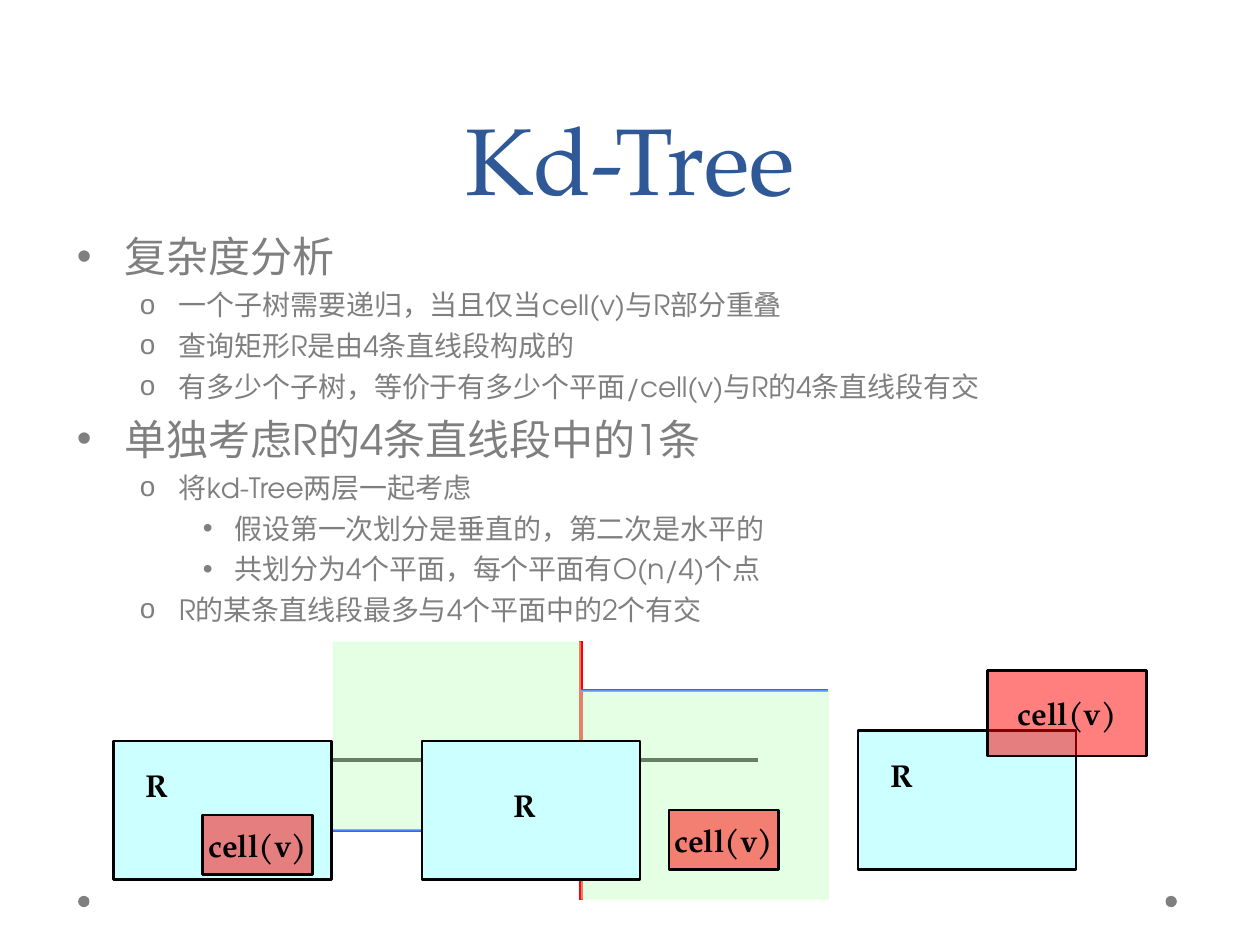
from lxml.etree import SubElement
from pptx import Presentation
from pptx.enum.shapes import MSO_CONNECTOR as Connector, MSO_SHAPE as Shape
from pptx.enum.text import MSO_ANCHOR as Anchor, MSO_AUTO_SIZE as AutoSize, PP_ALIGN as Align
from pptx.dml.color import RGBColor
from pptx.oxml.ns import qn
from pptx.util import Inches, Pt

SERIF, SANS = "TeX Gyre Pagella", "TeX Gyre Adventor"
GRAY, BLACK = "7F7F7F", "000000"


def paint(fill, color, opacity=100):
    """Give a shape, line or font fill a solid colour, with opacity in percent."""
    fill.solid()
    fill.fore_color.rgb = RGBColor.from_string(color)
    if opacity < 100:
        color_element = fill._xPr.find(qn("a:solidFill"))[0]
        SubElement(color_element, qn("a:alpha"), val=str(opacity * 1000))


def add_box(box, color, opacity=100, outlined=True, preset=Shape.RECTANGLE):
    """Add a filled shape at box (left, top, width, height in inches)."""
    shape = slide.shapes.add_shape(preset, *map(Inches, box))
    shape.shadow.inherit = False
    paint(shape.fill, color, opacity)
    if outlined:
        paint(shape.line.fill, BLACK)
        shape.line.width = Pt(1.5)
    else:
        shape.line.fill.background()
    return shape


presentation = Presentation()
presentation.slide_width, presentation.slide_height = Inches(10), Inches(7.5)
slide = presentation.slides.add_slide(presentation.slide_layouts[1])
title, body = slide.placeholders

# Title
title.left, title.top, title.width, title.height = map(Inches, (0.5, 0, 9, 1.75))
title.text_frame.text = "Kd-Tree"
title.text_frame.auto_size = AutoSize.NONE
title.text_frame.vertical_anchor = Anchor.BOTTOM
paragraph = title.text_frame.paragraphs[0]
paragraph.alignment = Align.CENTER
paragraph.line_spacing = Pt(58)
paragraph.font.size, paragraph.font.name = Pt(54), SERIF
paint(paragraph.font.fill, "2F5897")

# Bulleted outline: (level, text)
outline = [
    (0, "复杂度分析"),
    (1, "一个子树需要递归，当且仅当cell(v)与R部分重叠"),
    (1, "查询矩形R是由4条直线段构成的"),
    (1, "有多少个子树，等价于有多少个平面/cell(v)与R的4条直线段有交"),
    (0, "单独考虑R的4条直线段中的1条"),
    (1, "将kd-Tree两层一起考虑"),
    (2, "假设第一次划分是垂直的，第二次是水平的"),
    (2, "共划分为4个平面，每个平面有O(n/4)个点"),
    (1, "R的某条直线段最多与4个平面中的2个有交"),
]
# Per level: font size, space before, left margin, hanging indent, bullet
level_styles = [(24, 6, 0.38, 0.38, "•"), (16, 4, 0.81, 0.31, "o"), (16, 4, 1.25, 0.25, "•")]
body.left, body.top, body.width, body.height = map(Inches, (0.51, 1.78, 9, 4.95))
body.text_frame.text = "\n".join(text for _, text in outline)
body.text_frame.auto_size = AutoSize.NONE
for paragraph, (level, _) in zip(body.text_frame.paragraphs, outline):
    size, space, margin, hanging, bullet = level_styles[level]
    paragraph.level = level
    paragraph.space_before = Pt(space)
    paragraph.font.size, paragraph.font.name = Pt(size), SANS
    paint(paragraph.font.fill, GRAY)
    properties = paragraph._p.get_or_add_pPr()
    properties.set("marL", str(Inches(margin)))
    properties.set("indent", str(-Inches(hanging)))
    default_font = properties.find(qn("a:defRPr"))
    bullet_color = SubElement(properties, qn("a:buClr"))
    SubElement(bullet_color, qn("a:srgbClr"), val=GRAY)
    SubElement(properties, qn("a:buFont"), typeface="Arial")
    SubElement(properties, qn("a:buChar"), char=bullet)
    properties.append(default_font)

# Footer dots
for left in (0.62, 9.25):
    add_box((left, 7.11, 0.09, 0.09), GRAY, outlined=False, preset=Shape.OVAL)

# Splitting lines and the two half-planes that the query segment meets
west, split, east = 2.64, 4.61, 6.57
top, right_cut, left_cut, bottom = 5.09, 5.48, 6.59, 7.14
for color, *ends in [
    (BLACK, west, 6.03, 6.02, 6.03),
    ("FF0000", split, top, split, bottom),
    ("3366FF", split, right_cut, east, right_cut),
    ("3366FF", west, left_cut, split, left_cut),
]:
    line = slide.shapes.add_connector(Connector.STRAIGHT, *map(Inches, ends))
    paint(line.line.fill, color)
    line.line.width = Pt(2)
    SubElement(line._element.spPr, qn("a:effectLst"))
for left, upper, lower in [(west, top, left_cut), (split, right_cut, bottom)]:
    add_box((left, upper, split - west, lower - upper), "CCFFCC", 50, outlined=False)

# Three cases of query rectangle R against cell(v): R corner, cell box, label corner
cases = [
    ((0.9, 5.88), (1.61, 6.47, 0.87, 0.47), (1.06, 6.03)),
    ((3.35, 5.88), (5.31, 6.43, 0.87, 0.47), (3.98, 6.19)),
    ((6.81, 5.8), (7.84, 5.32, 1.26, 0.68), (6.97, 5.95)),
]
for corner, cell_box, label_corner in cases:
    add_box((*corner, 1.73, 1.1), "CCFFFF")
    cell = add_box(cell_box, "FF0000", 50)
    cell.text_frame.vertical_anchor = Anchor.MIDDLE
    label = slide.shapes.add_textbox(*map(Inches, (*label_corner, 0.38, 0.4)))
    label.text_frame.auto_size = AutoSize.SHAPE_TO_FIT_TEXT
    for shape, text, alignment in [(cell, "cell(v)", Align.CENTER), (label, "R", Align.LEFT)]:
        shape.text_frame.text = text
        shape.text_frame.word_wrap = False
        paragraph = shape.text_frame.paragraphs[0]
        paragraph.alignment = alignment
        paragraph.font.size, paragraph.font.name = Pt(18), SERIF
        paragraph.font.bold = True
        paint(paragraph.font.fill, BLACK)

presentation.save("out.pptx")
